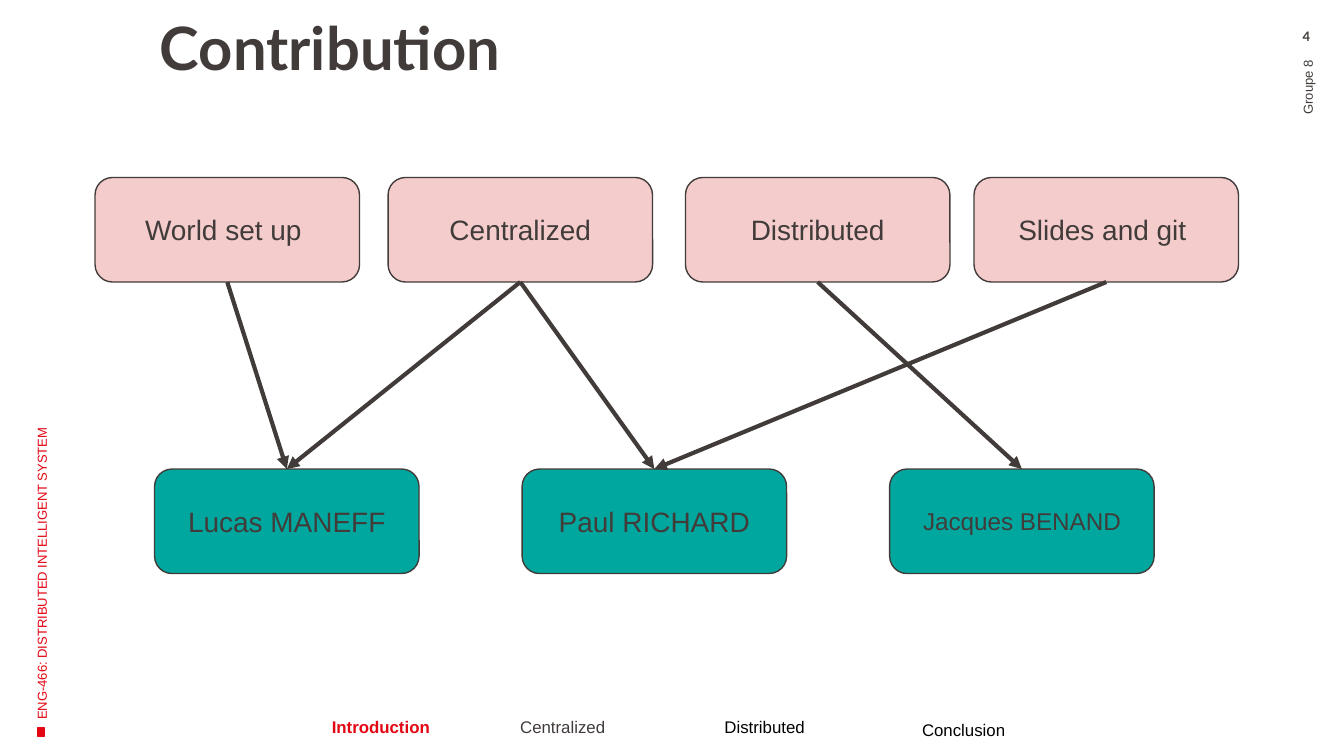
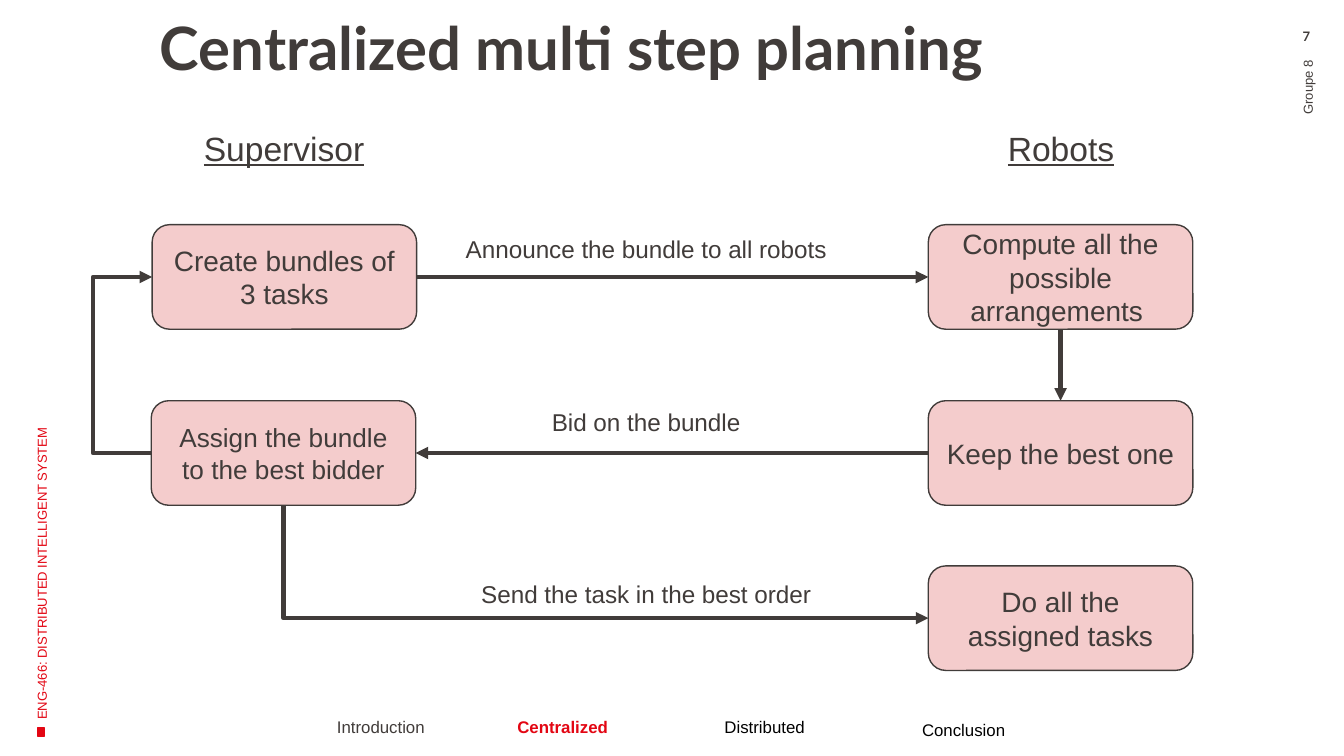
from dataclasses import dataclass

from lxml.etree import SubElement
from pptx import Presentation
from pptx.dml.color import RGBColor
from pptx.enum.shapes import MSO_CONNECTOR, MSO_SHAPE
from pptx.enum.text import MSO_ANCHOR, MSO_AUTO_SIZE, PP_ALIGN
from pptx.oxml.ns import qn
from pptx.util import Pt


@dataclass(frozen=True)
class Theme:
    dark: RGBColor = RGBColor(0x41, 0x3C, 0x3A)
    red: RGBColor = RGBColor(0xE3, 0x06, 0x13)
    black: RGBColor = RGBColor(0, 0, 0)
    pink: RGBColor = RGBColor(0xF4, 0xCC, 0xCC)
    teal: RGBColor = RGBColor(0x00, 0xA7, 0x9F)
    title_font: str = "Lato"
    body_font: str = "Arial"
    title_size: float = 32
    heading_size: float = 18
    box_size: float = 15
    label_size: float = 13
    menu_size: float = 9
    margin_size: float = 7
    outline: float = 0.75
    arrow: float = 2.25


THEME = Theme()
BOX_WIDTH, BOX_HEIGHT = 141.7, 56
TOP, LEFT, BOTTOM, RIGHT = range(4)  # connection sites of a box
MENU = [
    ("Introduction", 141, 376.6, THEME.dark),
    ("Centralized", 238.4, 376.6, THEME.dark),
    ("Distributed", 346.6, 376.6, THEME.black),
    ("Conclusion", 453.2, 378.2, THEME.black),
]


def format_text(shape, text, size, color=THEME.dark, font=THEME.body_font, bold=False,
                underline=False, align=PP_ALIGN.CENTER, anchor=MSO_ANCHOR.TOP,
                insets=(7.2, 7.2, 7.2, 7.2)):
    """Fill a shape with one paragraph; insets run left, top, right, bottom."""
    frame = shape.text_frame
    frame.text = text
    frame.word_wrap = True
    frame.auto_size = MSO_AUTO_SIZE.NONE
    frame.vertical_anchor = anchor
    frame.margin_left, frame.margin_top, frame.margin_right, frame.margin_bottom = map(Pt, insets)
    paragraph = frame.paragraphs[0]
    paragraph.alignment = align
    run_font = paragraph.runs[0].font
    run_font.name = font
    run_font.size = Pt(size)
    run_font.bold = bold
    run_font.underline = underline
    run_font.color.rgb = color


def add_text(slide, text, left, top, width, height, size, rotation=0, **style):
    shape = slide.shapes.add_textbox(Pt(left), Pt(top), Pt(width), Pt(height))
    shape.rotation = rotation
    format_text(shape, text, size, **style)


def add_filled(slide, kind, left, top, width, height, fill, line):
    shape = slide.shapes.add_shape(kind, Pt(left), Pt(top), Pt(width), Pt(height))
    shape.shadow.inherit = False
    shape.fill.solid()
    shape.fill.fore_color.rgb = fill
    shape.line.color.rgb = line
    shape.line.width = Pt(THEME.outline)
    return shape


def add_box(slide, text, left, top, fill=THEME.pink, size=THEME.box_size):
    box = add_filled(slide, MSO_SHAPE.ROUNDED_RECTANGLE, left, top,
                     BOX_WIDTH, BOX_HEIGHT, fill, THEME.dark)
    format_text(box, text, size, anchor=MSO_ANCHOR.MIDDLE)
    return box


def add_arrow(slide, start, start_site, end, end_site, kind=MSO_CONNECTOR.STRAIGHT):
    connector = slide.shapes.add_connector(kind, 0, 0, 0, 0)
    connector.begin_connect(start, start_site)
    connector.end_connect(end, end_site)
    connector.line.color.rgb = THEME.dark
    connector.line.width = Pt(THEME.arrow)
    properties = connector.element.spPr
    SubElement(properties.find(qn("a:ln")), qn("a:tailEnd"), type="triangle")
    SubElement(properties, qn("a:effectLst"))
    return connector


def turn_connector(connector, degrees):
    """Mirror a connector left to right and then rotate it."""
    frame = connector.element.spPr.xfrm
    frame.attrib.pop("flipV", None)
    frame.set("flipH", "1")
    frame.set("rot", str(degrees * 60000))


def add_loop_arrow(slide, start, end, reach):
    """Leave the left side of start, and return to the left side of end above it."""
    connector = add_arrow(slide, start, LEFT, end, LEFT, MSO_CONNECTOR.ELBOW)
    turn_connector(connector, 180)
    guides = connector.element.spPr.find(qn("a:prstGeom")).get_or_add_avLst()
    ratio = round(-Pt(reach) / connector.width * 100000)
    SubElement(guides, qn("a:gd"), name="adj1", fmla=f"val {ratio}")


def add_corner_arrow(slide, start, end):
    """Go down from start, then right into end."""
    connector = add_arrow(slide, start, BOTTOM, end, LEFT, MSO_CONNECTOR.ELBOW)
    connector.element.spPr.find(qn("a:prstGeom")).set("prst", "bentConnector2")
    across, down = connector.width, connector.height
    connector.left += (across - down) // 2
    connector.top += (down - across) // 2
    connector.width, connector.height = down, across
    turn_connector(connector, 270)


def add_title_slide(presentation, title, number, section):
    """Add a slide with its title, margin texts and section menu."""
    slide = presentation.slides.add_slide(presentation.slide_layouts[5])
    heading = slide.shapes.title
    heading.left, heading.top, heading.width, heading.height = map(Pt, (71.3, 10, 608.4, 84.2))
    format_text(heading, title, THEME.title_size, font=THEME.title_font, bold=True,
                align=PP_ALIGN.LEFT, insets=(14.4, 0, 6, 3.6))
    heading.text_frame.paragraphs[0].line_spacing = 0.9

    add_text(slide, number, 679.7, 15.1, 40.3, 13, THEME.margin_size,
             font=THEME.title_font, bold=True, insets=(7.2, 0, 7.2, 0))
    add_filled(slide, MSO_SHAPE.RECTANGLE, 20.2, 390, 3.8, 4.3, THEME.red, THEME.red)
    margin_style = dict(rotation=270, anchor=MSO_ANCHOR.MIDDLE, insets=(7.2, 3.6, 7.2, 3.6))
    add_text(slide, "ENG-466: DISTRIBUTED INTELLIGENT SYSTEM", -100.8, 256.3, 246.2, 26.6,
             THEME.margin_size, color=THEME.red, align=PP_ALIGN.LEFT, **margin_style)
    add_text(slide, "Groupe 8", 672.5, 41, 56.2, 24.5, THEME.margin_size,
             align=PP_ALIGN.RIGHT, **margin_style)

    for name, left, top, color in MENU:
        active = name == section
        add_text(slide, name, left, top, 126, 25.2, THEME.menu_size,
                 color=THEME.red if active else color, bold=active)
    return slide


def build_contribution(presentation):
    slide = add_title_slide(presentation, "Contribution", "4", "Introduction")
    tasks = [("World set up ", 50.9), ("Centralized", 207.9),
             ("Distributed", 367.2), ("Slides and git ", 521.8)]
    world, centralized, distributed, slides_and_git = [
        add_box(slide, text, left, 95.1) for text, left in tasks]
    members = [("Lucas MANEFF", THEME.box_size), ("Paul RICHARD", THEME.box_size),
               ("Jacques BENAND", THEME.label_size)]
    lucas, paul, jacques = [
        add_box(slide, name, 82.8 + 196.9 * index, 251.3, THEME.teal, size)
        for index, (name, size) in enumerate(members)]
    for task, member in [(world, lucas), (centralized, lucas), (distributed, jacques),
                         (slides_and_git, paul), (centralized, paul)]:
        add_arrow(slide, task, BOTTOM, member, TOP)


def build_planning(presentation):
    slide = add_title_slide(presentation, "Centralized multi step planning", "7", "Centralized")
    supervisor_left, robots_left = 81, 497.3
    row_tops = (120.4, 214.7, 303.2)
    for text, left in [("Supervisor", 89.2), ("Robots", 505.4)]:
        add_text(slide, text, left, 61.2, 126, 36, THEME.heading_size, underline=True)

    create = add_box(slide, "Create bundles of 3 tasks", supervisor_left + 0.5, row_tops[0])
    assign = add_box(slide, "Assign the bundle to the best bidder", supervisor_left,
                     row_tops[1], size=14)
    robot_steps = ["Compute all the possible arrangements ", "Keep the best one",
                   "Do all the assigned tasks"]
    compute, keep, do_tasks = [
        add_box(slide, text, robots_left, top) for text, top in zip(robot_steps, row_tops)]

    messages = [("Announce the bundle to all robots", 118.1),
                ("Bid on the bundle", 211),
                ("Send the task in the best order", 303.2)]
    for text, top in messages:
        add_text(slide, text, 238.4, top, 215.3, 30.2, THEME.label_size)

    add_arrow(slide, compute, BOTTOM, keep, TOP)
    add_arrow(slide, create, RIGHT, compute, LEFT)
    add_arrow(slide, keep, LEFT, assign, RIGHT)
    add_loop_arrow(slide, assign, create, 30.5)
    add_corner_arrow(slide, assign, do_tasks)


def main():
    presentation = Presentation()
    presentation.slide_width, presentation.slide_height = Pt(720), Pt(405)
    build_contribution(presentation)
    build_planning(presentation)
    presentation.save("out.pptx")


if __name__ == "__main__":
    main()
